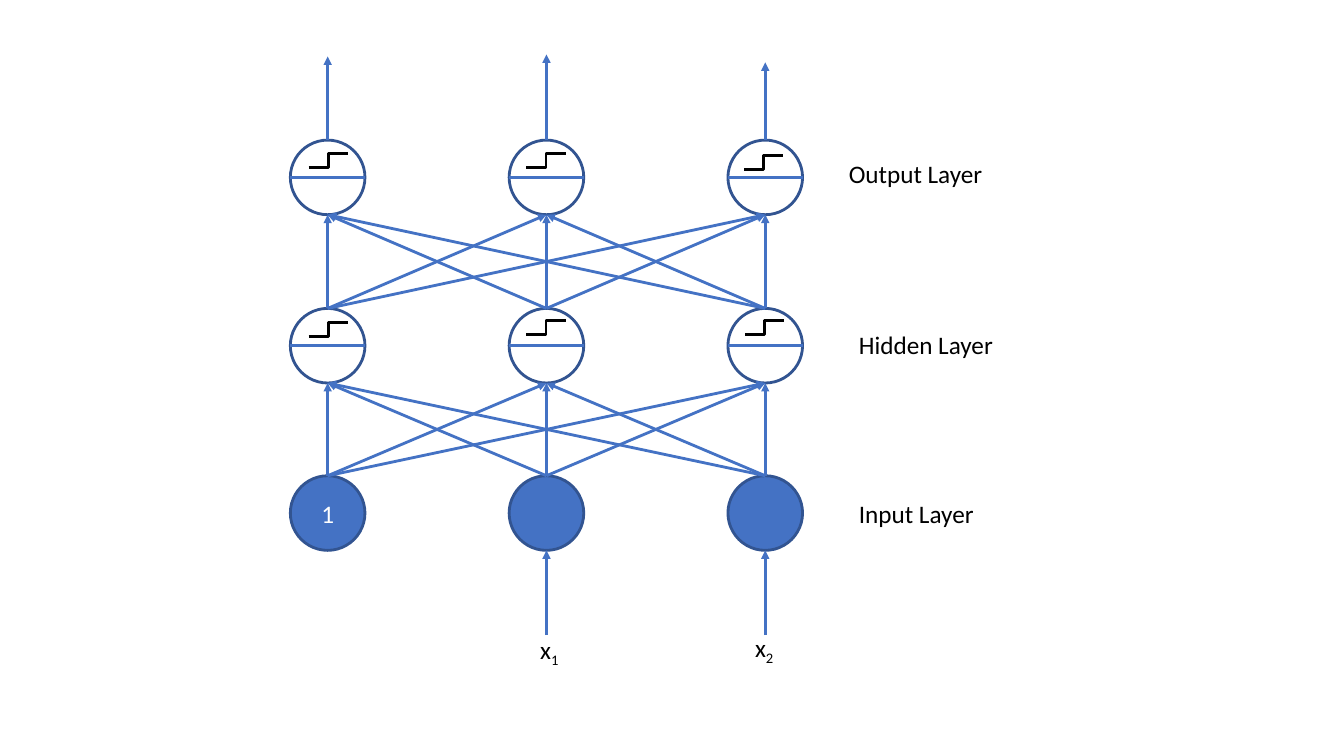
from lxml import etree
from pptx import Presentation
from pptx import util as u
from pptx.dml.color import RGBColor
from pptx.enum import shapes, text
from pptx.oxml.ns import qn

COLORS = {"blue": "4472C4", "navy": "325491", "white": "FFFFFF", "black": "000000"}
COLUMNS = (3.25, 5.42, 7.59)
OUTPUT, HIDDEN, INPUT = 1.76, 3.43, 5.09
RADIUS = 0.37
STEP_WIDTH, STEP_HEIGHT = 0.39, 0.14


def color(name):
    return RGBColor.from_string(COLORS[name])


class Diagram:
    """Style of the network drawing and the slide it is drawn on."""
    font = "Calibri"
    size = u.Pt(18)
    stroke = u.Pt(2)

    def __init__(self, page):
        self.page = page

    def span(self, para, words, ink, subscript=False):
        span = para.add_run()
        span.text = words
        span.font.name = self.font
        span.font.size = self.size
        span.font.color.rgb = color(ink)
        if subscript:
            span._r.get_or_add_rPr().set("baseline", "-25000")

    def neuron(self, x, y, fill, words=""):
        circle = self.page.shapes.add_shape(
            shapes.MSO_SHAPE.OVAL, u.Inches(x - RADIUS), u.Inches(y - RADIUS),
            u.Inches(2 * RADIUS), u.Inches(2 * RADIUS))
        circle.shadow.inherit = False
        circle.fill.solid()
        circle.fill.fore_color.rgb = color(fill)
        circle.line.color.rgb = color("navy")
        circle.line.width = self.stroke
        if words:
            circle.text_frame.vertical_anchor = text.MSO_ANCHOR.MIDDLE
            para = circle.text_frame.paragraphs[0]
            para.alignment = text.PP_ALIGN.CENTER
            self.span(para, words, "white")

    def line(self, start, end, ink="blue", kind=shapes.MSO_CONNECTOR.STRAIGHT):
        line = self.page.shapes.add_connector(
            kind, *(u.Inches(value) for value in (*start, *end)))
        line.line.color.rgb = color(ink)
        line.line.width = self.stroke
        etree.SubElement(line._element.spPr, qn("a:effectLst"))
        return line

    def arrow(self, start, end):
        line = self.line(start, end)
        etree.SubElement(line.line._get_or_add_ln(), qn("a:tailEnd"), type="triangle")

    def step(self, x, y):
        """Draw the step function, rising from its lower left corner."""
        self.line((x, y), (x + STEP_WIDTH, y - STEP_HEIGHT), "black",
                  shapes.MSO_CONNECTOR.ELBOW)

    def label(self, x, y, width, words, subscript=""):
        box = self.page.shapes.add_textbox(
            u.Inches(x), u.Inches(y), u.Inches(width), u.Inches(0.4))
        box.text_frame.word_wrap = False
        box.text_frame.auto_size = text.MSO_AUTO_SIZE.SHAPE_TO_FIT_TEXT
        para = box.text_frame.paragraphs[0]
        self.span(para, words, "black")
        if subscript:
            self.span(para, subscript, "black", subscript=True)


def main():
    deck = Presentation()
    deck.slide_width, deck.slide_height = u.Inches(13.33), u.Inches(7.5)
    diagram = Diagram(deck.slides.add_slide(deck.slide_layouts[6]))

    for x, words in zip(COLUMNS, ("1", "", "")):
        diagram.neuron(x, INPUT, "blue", words)
    for y in (HIDDEN, OUTPUT):
        for x in COLUMNS:
            diagram.neuron(x, y, "white")

    for lower, upper in ((INPUT, HIDDEN), (HIDDEN, OUTPUT)):
        for start in COLUMNS:
            for end in COLUMNS:
                diagram.arrow((start, lower - RADIUS), (end, upper + RADIUS))
    for x, tip in zip(COLUMNS, (0.56, 0.54, 0.62)):
        diagram.arrow((x, OUTPUT - RADIUS), (x, tip))

    for y in (HIDDEN, OUTPUT):
        for x in COLUMNS:
            diagram.line((x - RADIUS, y), (x + RADIUS, y))
    for x, y in ((3.06, 3.34), (5.22, 3.32), (7.39, 3.32),
                 (3.06, 1.66), (5.22, 1.66), (7.38, 1.68)):
        diagram.step(x, y)

    for x in COLUMNS[1:]:
        diagram.arrow((x, 6.3), (x, INPUT + RADIUS))
    diagram.label(5.26, 6.24, 0.4, "x", "1")
    diagram.label(7.39, 6.22, 0.4, "x", "2")
    diagram.label(8.42, 4.89, 1.35, "Input Layer")
    diagram.label(8.42, 3.22, 1.55, "Hidden Layer")
    diagram.label(8.32, 1.52, 1.54, "Output Layer")
    deck.save("out.pptx")


if __name__ == "__main__":
    main()
